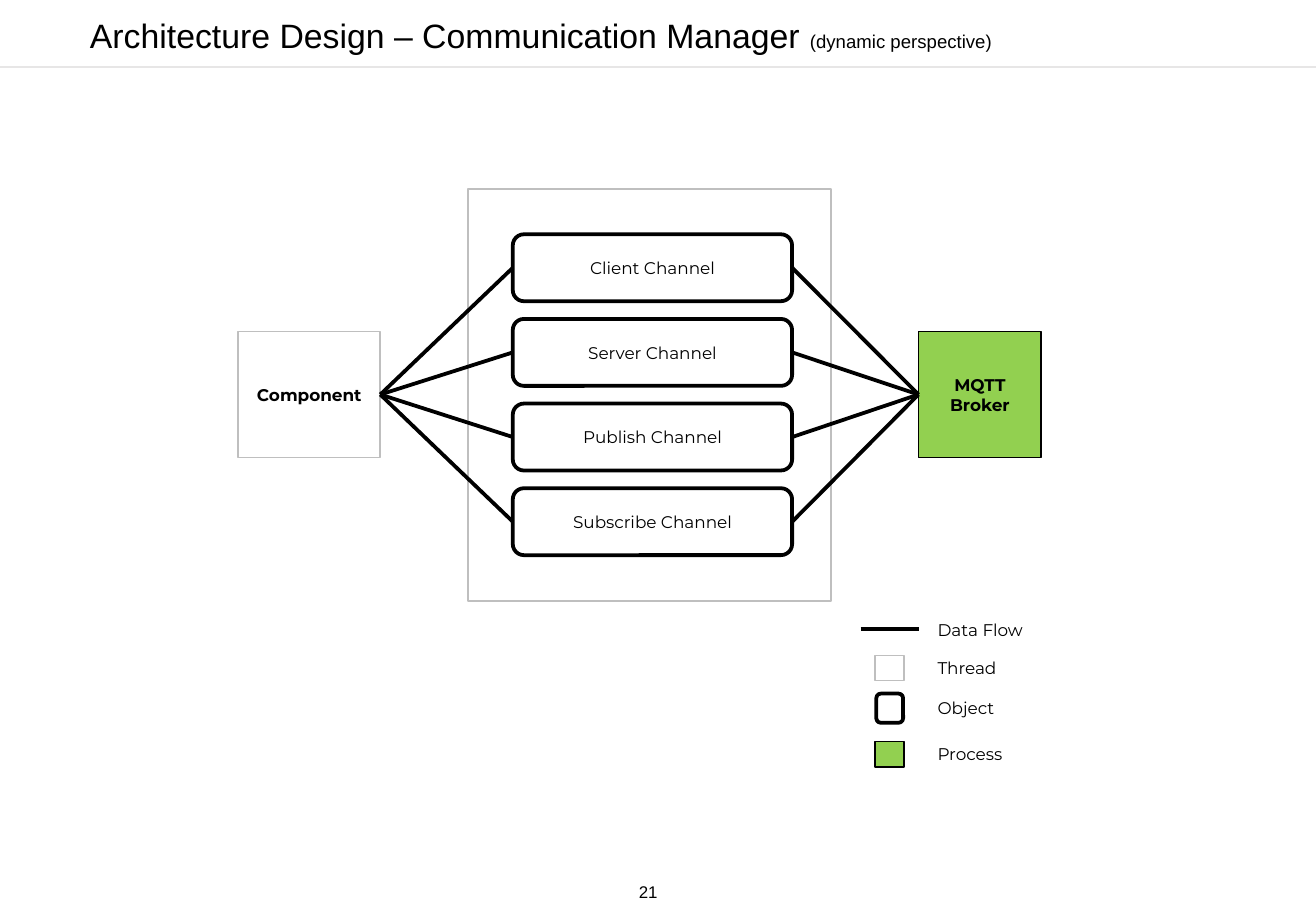
from dataclasses import dataclass

from lxml import etree
from pptx import Presentation
from pptx.dml.color import RGBColor
from pptx.enum.shapes import MSO_CONNECTOR, MSO_SHAPE
from pptx.enum.text import MSO_ANCHOR, PP_ALIGN
from pptx.oxml.ns import qn
from pptx.util import Cm, Pt

RECT, ROUNDED = MSO_SHAPE.RECTANGLE, MSO_SHAPE.ROUNDED_RECTANGLE
STRAIGHT = MSO_CONNECTOR.STRAIGHT
LEFT, CENTER = PP_ALIGN.LEFT, PP_ALIGN.CENTER
MIDDLE = MSO_ANCHOR.MIDDLE
LEFT_SITE, RIGHT_SITE = 1, 3
TITLE_ONLY = 5


@dataclass(frozen=True)
class Theme:
    """Colours, fonts, type sizes and line widths of the slide."""
    ink: RGBColor = RGBColor.from_string("000000")
    frame: RGBColor = RGBColor.from_string("BFBFBF")
    rule: RGBColor = RGBColor.from_string("E7E6E6")
    process: RGBColor = RGBColor.from_string("92D050")
    heading_font: str = "Arial"
    label_font: str = "Montserrat"
    title_size: int = 20
    subtitle_size: int = 11
    label_size: int = 10
    thin: float = 1
    thick: float = 2.25


THEME = Theme()
THREAD = dict(kind=RECT, line=THEME.frame, weight=THEME.thin)
OBJECT = dict(kind=ROUNDED, line=THEME.ink, weight=THEME.thick)
PROCESS = dict(kind=RECT, line=THEME.ink, weight=THEME.thin, fill=THEME.process)

CHANNELS = ["Client Channel", "Server Channel", "Publish Channel", "Subscribe Channel"]
CHANNEL_TOP, CHANNEL_PITCH = 4.9, 1.77
KEY_CENTER, KEY_LABEL_LEFT, KEY_LABEL_HEIGHT = 18.6, 19.35, 0.69
KEY_SYMBOLS = [
    ("Thread", 13.97, 0.61, 0.53, THREAD),
    ("Object", 14.81, 0.56, 0.61, OBJECT),
    ("Process", 15.77, 0.61, 0.53, PROCESS),
]


def add_run(paragraph, text, font=THEME.label_font, size=THEME.label_size, bold=False):
    """Append formatted text to a paragraph."""
    run = paragraph.add_run()
    run.text = text
    run.font.name, run.font.size, run.font.bold = font, Pt(size), bold
    run.font.color.rgb = THEME.ink


def write_text(frame, text, align=CENTER, **style):
    """Fill a text frame with one paragraph per line of text."""
    frame.vertical_anchor = MIDDLE
    for index, line in enumerate(text.split("\n")):
        paragraph = frame.add_paragraph() if index else frame.paragraphs[0]
        paragraph.alignment = align
        add_run(paragraph, line, **style)


def add_node(slide, left, top, width, height, kind, line, weight, fill=None, text="", bold=False):
    """Draw a thread, object or process symbol with an optional label."""
    node = slide.shapes.add_shape(kind, Cm(left), Cm(top), Cm(width), Cm(height))
    node.shadow.inherit = False
    if fill is None:
        node.fill.background()
    else:
        node.fill.solid()
        node.fill.fore_color.rgb = fill
    node.line.color.rgb = line
    node.line.width = Pt(weight)
    if text:
        write_text(node.text_frame, text, bold=bold)
    return node


def add_line(slide, start, end, color=THEME.ink, weight=THEME.thick):
    """Draw a straight line between two points in centimetres."""
    line = slide.shapes.add_connector(STRAIGHT, *map(Cm, (*start, *end)))
    line.line.color.rgb = color
    line.line.width = Pt(weight)
    etree.SubElement(line._element.spPr, qn("a:effectLst"))
    return line


def add_flow(slide, source, target):
    """Connect the right side of one node to the left side of another."""
    flow = add_line(slide, (0, 0), (1, 1))
    flow.begin_connect(source, RIGHT_SITE)
    flow.end_connect(target, LEFT_SITE)


def add_label(slide, left, top, width, height, text, inset=0.25, **style):
    """Add a free-standing label."""
    frame = slide.shapes.add_textbox(Cm(left), Cm(top), Cm(width), Cm(height)).text_frame
    frame.word_wrap = True
    frame.margin_left = frame.margin_right = Cm(inset)
    write_text(frame, text, **style)


def add_title(slide, text, remark):
    """Set the slide title with a smaller remark behind it."""
    title = slide.shapes.title
    title.left, title.top, title.width, title.height = Cm(0.36), Cm(0.1), Cm(26.6), Cm(1.27)
    frame = title.text_frame
    frame.margin_left = Cm(1.52)
    write_text(frame, text, align=LEFT, font=THEME.heading_font, size=THEME.title_size)
    add_run(frame.paragraphs[0], remark, font=THEME.heading_font, size=THEME.subtitle_size)


def add_architecture(slide):
    """Draw the component, its channels and the broker."""
    add_node(slide, 9.78, 3.96, 7.59, 8.61, **THREAD)
    channels = [
        add_node(slide, 10.72, CHANNEL_TOP + row * CHANNEL_PITCH, 5.84, 1.4, text=name, **OBJECT)
        for row, name in enumerate(CHANNELS)
    ]
    component = add_node(slide, 4.98, 6.93, 2.97, 2.64, text="Component", bold=True, **THREAD)
    broker = add_node(slide, 19.2, 6.93, 2.57, 2.64, text="MQTT\nBroker", bold=True, **PROCESS)
    for channel in channels:
        add_flow(slide, component, channel)
        add_flow(slide, channel, broker)


def add_key_label(slide, text, center):
    """Name one entry of the legend."""
    add_label(slide, KEY_LABEL_LEFT, center - KEY_LABEL_HEIGHT / 2, 2.6, KEY_LABEL_HEIGHT,
              text, align=LEFT)


def add_legend(slide):
    """Explain the line and the symbols."""
    flow_center = 13.16
    add_line(slide, (KEY_CENTER - 0.61, flow_center), (KEY_CENTER + 0.61, flow_center))
    add_key_label(slide, "Data Flow", flow_center)
    for name, center, width, height, look in KEY_SYMBOLS:
        add_node(slide, KEY_CENTER - width / 2, center - height / 2, width, height, **look)
        add_key_label(slide, name, center)


def main():
    """Build and save the slide."""
    deck = Presentation()
    deck.slide_width, deck.slide_height = Cm(27.51), Cm(19.05)
    slide = deck.slides.add_slide(deck.slide_layouts[TITLE_ONLY])
    add_title(slide, "Architecture Design – Communication Manager ", "(dynamic perspective)")
    add_line(slide, (0, 1.4), (27.51, 1.4), color=THEME.rule, weight=THEME.thin)
    add_architecture(slide)
    add_legend(slide)
    add_label(slide, 13.05, 18.33, 1, 0.64, "21", inset=0.1, font=THEME.heading_font)
    deck.save("out.pptx")


main()
